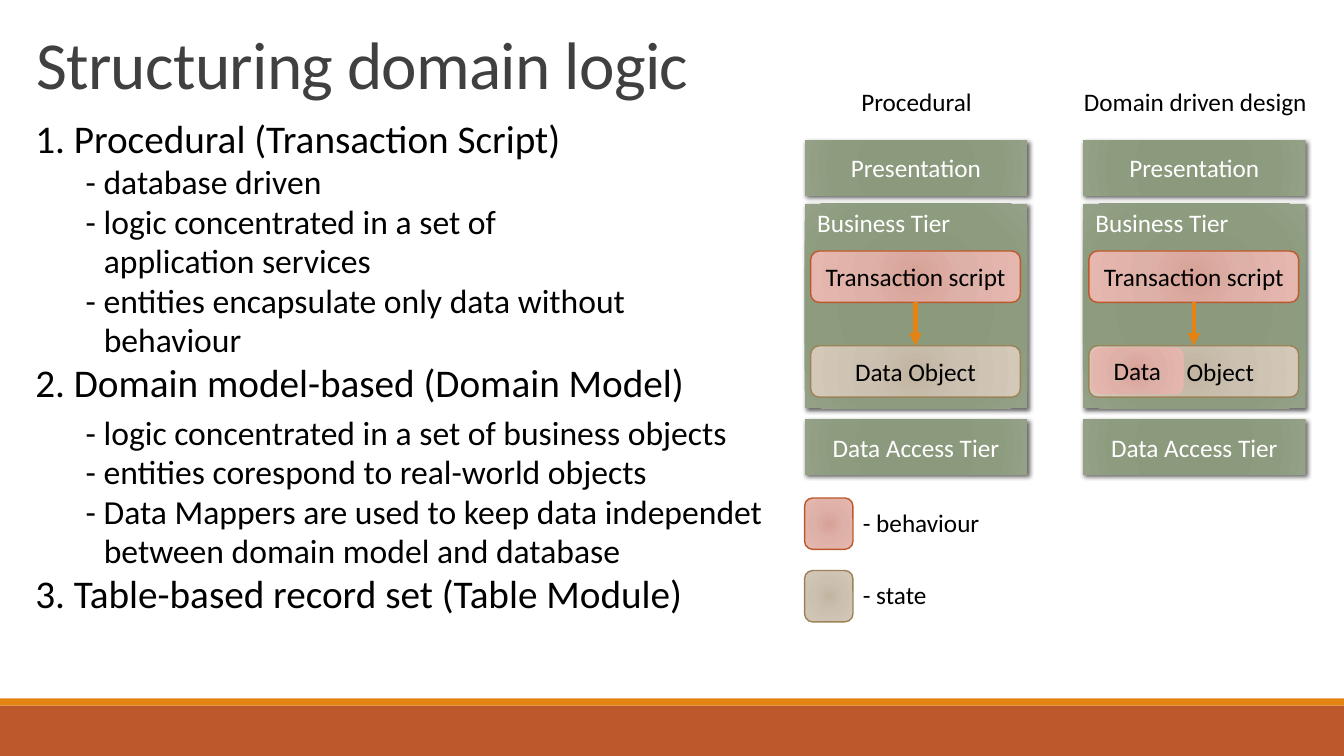
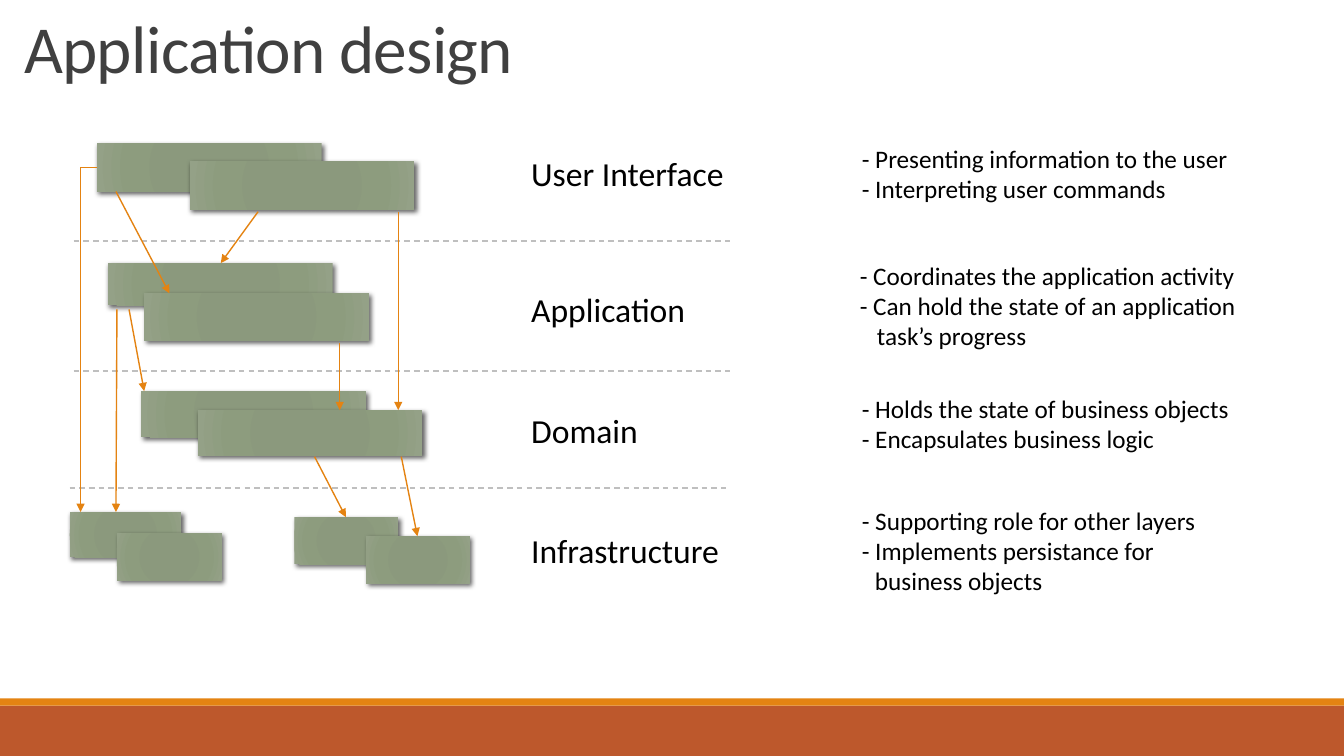
from lxml import etree
from pptx import Presentation
from pptx import util as u
from pptx.dml.color import RGBColor
from pptx.enum import dml, shapes, text
from pptx.oxml.ns import qn

FONT = "Calibri"
HEX = {
    "rust": "BD582C", "orange": "E48312", "title": "404040", "ink": "000000",
    "white": "FFFFFF", "dash": "BFBFBF", "tan": "9B8357",
}
GRADS = {
    "green": [(0, "8A987B"), (34, "8B997D"), (70, "8D9C7E"), (100, "94A187")],
    "rose": [(0, "D7A197"), (45, "DEB1A8"), (100, "E6B7AE")],
    "sand": [(0, "C2B5A2"), (45, "CCC1B1"), (100, "D4C8B8")],
}
KIND = shapes.MSO_SHAPE
LEFT, MID = text.PP_ALIGN.LEFT, text.PP_ALIGN.CENTER


def tint(name):
    return RGBColor.from_string(HEX[name])


def sub(node, tag, **attrs):
    """Append a drawing element and return it."""
    return etree.SubElement(node, qn("a:" + tag),
                            {key: str(val) for key, val in attrs.items()})


class Deck:
    def __init__(self):
        self.prs = Presentation()
        self.prs.slide_width = u.Inches(13.33)
        self.prs.slide_height = u.Inches(7.5)

    def start(self, layout, title, at):
        """Open a slide with its title and the two bottom bands."""
        self.page = self.prs.slides.add_slide(self.prs.slide_layouts[layout])
        self.band(7, 0.5, "rust")
        self.band(6.93, 0.07, "orange")
        head = self.place(self.page.shapes.title, at)
        head.text_frame.vertical_anchor = text.MSO_ANCHOR.BOTTOM
        par = head.text_frame.paragraphs[0]
        par.alignment = LEFT
        par.line_spacing = 0.85
        run = self.run(par, title, 48, "title")
        run.font._element.set("spc", "-50")

    def place(self, shape, at):
        shape.left, shape.top, shape.width, shape.height = map(u.Inches, at)
        shape.text_frame.word_wrap = True
        shape.text_frame.auto_size = text.MSO_AUTO_SIZE.NONE
        return shape

    def run(self, par, words, size, color="ink"):
        run = par.add_run()
        run.text = words
        run.font.name, run.font.size = FONT, u.Pt(size)
        run.font.color.rgb = tint(color)
        return run

    def band(self, top, high, color):
        bar = self.page.shapes.add_shape(
            KIND.RECTANGLE, 0, u.Inches(top), self.prs.slide_width, u.Inches(high))
        bar.shadow.inherit = False
        bar.fill.solid()
        bar.fill.fore_color.rgb = tint(color)
        bar.line.fill.background()

    def box(self, at, words="", grad="green", edge=None):
        """Draw a shaded tier, or a rounded box in another gradient."""
        tier = grad == "green"
        kind = KIND.FLOWCHART_PROCESS if tier else KIND.ROUNDED_RECTANGLE
        shape = self.page.shapes.add_shape(kind, *map(u.Inches, at))
        props = shape.element.spPr
        fill = sub(props, "gradFill", rotWithShape=1)
        stops = sub(fill, "gsLst")
        for pos, color in GRADS[grad]:
            sub(sub(stops, "gs", pos=pos * 1000), "srgbClr", val=color)
        sub(sub(fill, "path", path="circle"), "fillToRect",
            l=100000, t=100000, r=100000, b=100000)
        if edge:
            shape.line.color.rgb = tint(edge)
            shape.line.width = u.Pt(1)
        else:
            shape.line.fill.background()
        shape.shadow.inherit = False
        if tier:
            shade = sub(props.find(qn("a:effectLst")), "outerShdw", blurRad=u.Pt(3.5),
                        dist=u.Pt(2), dir=45 * 60000, algn="tl", rotWithShape=0)
            sub(sub(shade, "srgbClr", val=HEX["ink"]), "alpha", val=60000)
        if words:
            shape.text_frame.vertical_anchor = text.MSO_ANCHOR.MIDDLE
            par = shape.text_frame.paragraphs[0]
            par.alignment = MID
            self.run(par, words, 18, "white" if tier else "ink")

    def label(self, at, words, size=18, color="ink", align=LEFT):
        shape = self.place(self.page.shapes.add_textbox(0, 0, 0, 0), at)
        par = shape.text_frame.paragraphs[0]
        par.alignment = align
        self.run(par, words, size, color)

    def hang(self, par, left, back):
        props = par._p.get_or_add_pPr()
        props.set("marL", str(u.Inches(left)))
        props.set("indent", str(u.Inches(-back)))
        sub(props, "buNone")

    def lines(self, par, words, size):
        """Add one run for each line of a paragraph."""
        for num, line in enumerate(words.split("\n")):
            if num:
                par.add_line_break()
            self.run(par, line, size)

    def body(self, at, groups):
        frame = self.place(self.page.placeholders[1], at).text_frame
        par = frame.paragraphs[0]
        for num, (head, gap, items) in enumerate(groups):
            if num:
                par = frame.add_paragraph()
            self.hang(par, 0, 0)
            par.space_before, par.line_spacing = u.Pt(0), 0.98
            self.run(par, head, 28)
            for row, item in enumerate(items):
                par = frame.add_paragraph()
                self.hang(par, 0.68, 0.18)
                par.space_before = u.Pt(0 if row else gap)
                par.line_spacing, par.level = 0.98, 0
                self.lines(par, item, 24)

    def notes(self, at, items, back=0.13):
        """Write a dashed list in a text box."""
        frame = self.place(self.page.shapes.add_textbox(0, 0, 0, 0), at).text_frame
        for num, item in enumerate(items):
            par = frame.add_paragraph() if num else frame.paragraphs[0]
            self.hang(par, back, back)
            self.lines(par, item, 18)

    def line(self, start, end, color="orange", width=1, dash=False, bent=False):
        """Draw an arrow, or a dashed rule without a head."""
        kind = shapes.MSO_CONNECTOR.ELBOW if bent else shapes.MSO_CONNECTOR.STRAIGHT
        link = self.page.shapes.add_connector(kind, *map(u.Inches, start + end))
        link.line.color.rgb = tint(color)
        link.line.width = u.Pt(width)
        props = link._element.spPr
        if bent:
            props.find(qn("a:prstGeom")).set("prst", "bentConnector2")
        if dash:
            link.line.dash_style = dml.MSO_LINE.DASH
        else:
            sub(props.find(qn("a:ln")), "tailEnd", type="triangle")
        sub(props, "effectLst")

    def stack(self, left):
        """Draw the three tiers of one way to structure logic."""
        self.box((left, 1.39, 2.21, 0.55), "Presentation")
        self.box((left, 2.02, 2.21, 2.03))
        self.label((left, 2.01, 1.57, 0.4), "Business Tier", color="white", align=MID)
        self.box((left + 0.06, 2.49, 2.08, 0.51), "Transaction script", "rose", "rust")
        self.box((left + 0.06, 3.43, 2.08, 0.51), "Data Object", "sand", "tan")
        self.line((left + 1.1, 3), (left + 1.1, 3.43), width=3)
        self.box((left, 4.16, 2.21, 0.55), "Data Access Tier")


def logic(deck):
    deck.start(1, "Structuring domain logic", (0.26, 0, 11, 1.07))
    deck.body((0.25, 1.11, 9.35, 5.62), [
        ("1. Procedural (Transaction Script)", 0, [
            "- database driven",
            "- logic concentrated in a set of\napplication services",
            "- entities encapsulate only data without\nbehaviour"]),
        ("2. Domain model-based (Domain Model)", 5, [
            "- logic concentrated in a set of business objects",
            "- entities corespond to real-world objects",
            "- Data Mappers are used to keep data independet\n"
            "between domain model and database"]),
        ("3. Table-based record set (Table Module)", 0, []),
    ])
    deck.stack(7.98)
    deck.stack(10.74)
    deck.box((10.82, 3.45, 0.92, 0.46), "Data", "rose")
    deck.label((7.98, 0.81, 2.22, 0.4), "Procedural", align=MID)
    deck.label((10.6, 0.81, 2.51, 0.4), "Domain driven design", align=MID)
    for top, grad, edge, words in ((4.94, "rose", "rust", "- behaviour"),
                                   (5.66, "sand", "tan", "- state")):
        deck.box((7.98, top, 0.48, 0.51), "", grad, edge)
        deck.label((8.46, top + 0.04, 1.8, 0.4), words)


def design(deck):
    deck.start(5, "Application design", (0.14, 0.07, 11, 0.85))
    for at in ((0.96, 1.42, 2.23, 0.48), (1.88, 1.6, 2.23, 0.48),
               (1.07, 2.61, 2.23, 0.42), (1.43, 2.91, 2.23, 0.47),
               (1.4, 3.88, 2.23, 0.46), (1.96, 4.07, 2.23, 0.45),
               (0.69, 5.08, 1.11, 0.45), (1.16, 5.29, 1.04, 0.47),
               (2.92, 5.13, 1.03, 0.47), (3.63, 5.32, 1.03, 0.47)):
        deck.box(at)
    for left, top in ((0.73, 2.39), (0.73, 3.68), (0.69, 4.84)):
        deck.line((left, top), (left + 6.51, top), "dash", dash=True)
    for start, end in (((1.15, 1.9), (1.68, 2.91)), ((2.56, 2.1), (2.19, 2.61)),
                       ((3.95, 2.1), (3.95, 4.07)), ((3.37, 3.4), (3.37, 4.07)),
                       ((1.28, 3.07), (1.43, 3.88)), ((1.16, 3.07), (1.15, 5.08)),
                       ((3.98, 4.53), (4.14, 5.32)), ((3.12, 4.53), (3.43, 5.13))):
        deck.line(start, end)
    deck.line((0.96, 1.66), (0.8, 5.08), bent=True)
    layers = (
        ("User Interface", 1.47, 8.45, 1.37, 0.13, [
            "- Presenting information to the user", "- Interpreting user commands"]),
        ("Application", 2.82, 8.43, 2.53, 0.17, [
            "- Coordinates the application activity",
            "- Can hold the state of an application\ntask’s progress"]),
        ("Domain", 4.02, 8.45, 3.85, 0.13, [
            "- Holds the state of business objects", "- Encapsulates business logic"]),
        ("Infrastructure", 5.21, 8.45, 4.96, 0.13, [
            "- Supporting role for other layers",
            "- Implements persistance for\nbusiness objects"]),
    )
    for name, top, left, high, back, items in layers:
        deck.label((5.17, top, 2.23, 0.5), name, 24)
        deck.notes((left, high, 4.3, 1), items, back)


def main():
    deck = Deck()
    logic(deck)
    design(deck)
    deck.prs.save("out.pptx")


if __name__ == "__main__":
    main()
